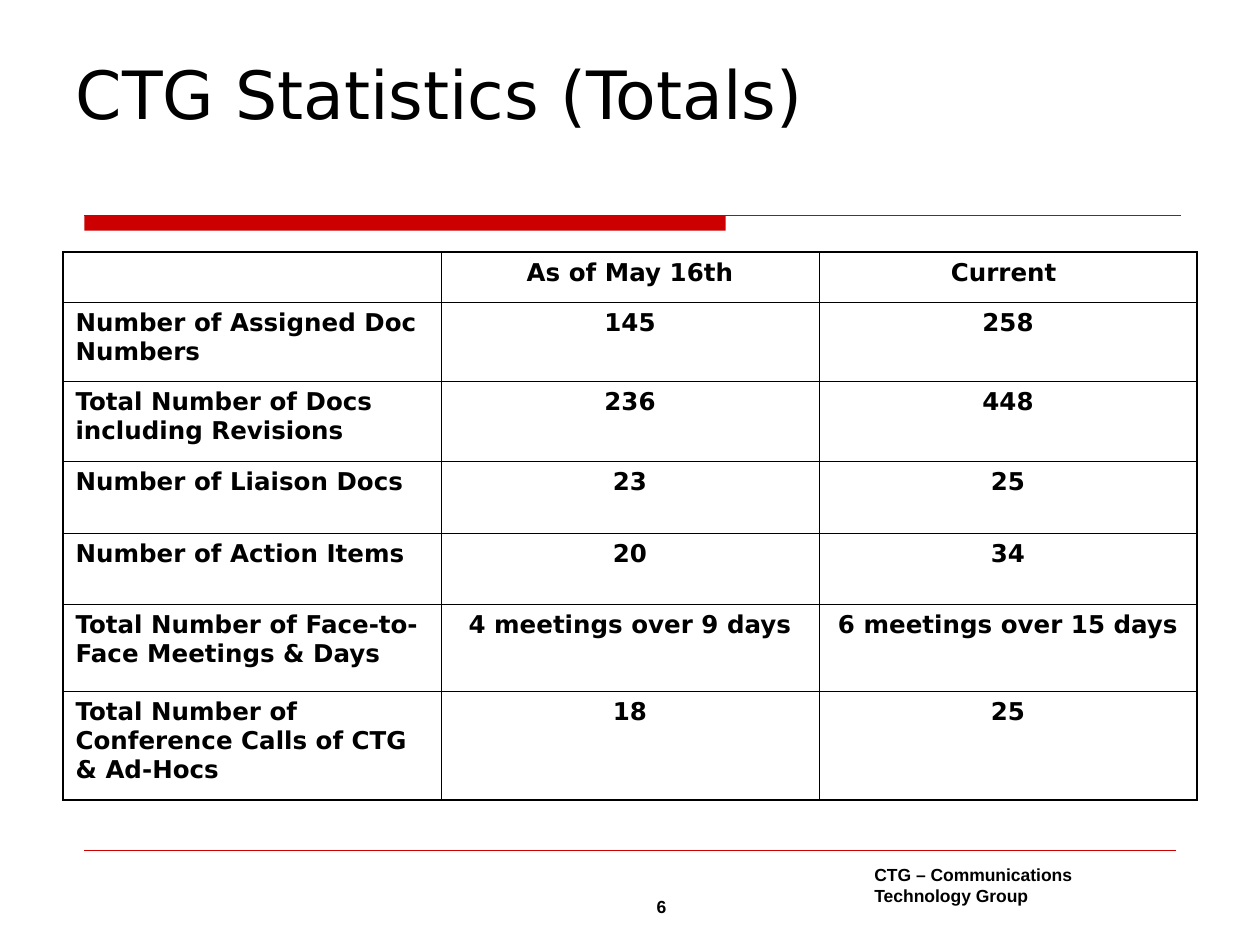
from dataclasses import dataclass

from lxml.etree import SubElement as Sub
from pptx import Presentation
from pptx.dml.color import RGBColor as RGB
from pptx.enum.shapes import MSO_CONNECTOR as Conn, MSO_SHAPE as Shape
from pptx.enum.text import MSO_ANCHOR as Anchor, PP_ALIGN as Align
from pptx.oxml.ns import qn
from pptx.util import Inches, Pt


@dataclass(frozen=True)
class Theme:
    ink: str = "000000"
    red: str = "CC0000"
    font: str = "DejaVu Sans"
    foot: str = "Arial"
    head: float = 38
    body: float = 14
    small: float = 10
    rule: float = 0.75
    hair: float = 0.25
    edge: float = 1.08
    grid: float = 0.45


THEME = Theme()

ROWS = [
    ("", "As of May 16th", "Current "),
    ("Number of Assigned Doc Numbers", "145", "258"),
    ("Total Number of Docs including Revisions", "236", "448"),
    ("Number of Liaison Docs", "23", "25"),
    ("Number of Action Items", "20", "34"),
    ("Total Number of Face-to-Face Meetings & Days",
     "4 meetings over 9 days", "6 meetings over 15 days"),
    ("Total Number of Conference Calls of CTG & Ad-Hocs", "18", "25"),
]
HEIGHTS = [0.4, 0.63, 0.63, 0.57, 0.57, 0.69, 0.86]


def add_run(para, text, size, font, bold=False):
    run = para.add_run()
    run.text = text
    run.font.size = Pt(size)
    run.font.name = font
    run.font.bold = bold
    run.font.color.rgb = RGB.from_string(THEME.ink)


def add_rule(slide, left, top, width, weight):
    line = slide.shapes.add_connector(
        Conn.STRAIGHT, Inches(left), Inches(top),
        Inches(left + width), Inches(top))
    line.line.color.rgb = RGB.from_string(THEME.red)
    line.line.width = Pt(weight)
    Sub(line._element.spPr, qn("a:effectLst"))


def add_title(slide, box, text):
    title = slide.shapes.title
    title.left, title.top, title.width, title.height = map(Inches, box)
    frame = title.text_frame
    frame.vertical_anchor = Anchor.MIDDLE
    para = frame.paragraphs[0]
    para.alignment = Align.LEFT
    add_run(para, text, THEME.head, THEME.font)


def add_band(slide, box, thick):
    """Heavy bar over the left part of a thin full-width rule."""
    left, top, width, full = box
    bar = slide.shapes.add_shape(Shape.RECTANGLE, *map(
        Inches, (left, top, thick, full)))
    bar.shadow.inherit = False
    bar.fill.solid()
    bar.fill.fore_color.rgb = RGB.from_string(THEME.red)
    bar.line.fill.background()
    add_rule(slide, left, top, width, THEME.rule)


def add_note(slide, box, text, align):
    note = slide.shapes.add_textbox(*map(Inches, box))
    frame = note.text_frame
    frame.word_wrap = False
    frame.margin_left = frame.margin_right = Inches(0.02)
    frame.margin_top = frame.margin_bottom = Inches(0.03)
    para = frame.paragraphs[0]
    para.alignment = align
    add_run(para, text, THEME.small, THEME.foot, True)


def add_foot(slide, box):
    left, top, width, _ = box
    add_rule(slide, left, top, width, THEME.hair)
    add_note(slide, (left + 3.58, top + 0.33, 2, 0.42), "6", Align.CENTER)
    add_note(slide, (left + 6.25, top + 0.08, 2, 0.42),
             "CTG – Communications Technology Group", Align.LEFT)


def set_edges(cell, outer):
    """Draw all four sides, heavier where the side is on the outside."""
    props = cell._tc.get_or_add_tcPr()
    for side in "LRTB":
        weight = THEME.edge if side in outer else THEME.grid
        line = Sub(props, qn(f"a:ln{side}"), w=str(int(Pt(weight))))
        fill = Sub(line, qn("a:solidFill"))
        Sub(fill, qn("a:srgbClr"), val=THEME.ink)


def add_stats(slide, box):
    tall, wide = len(ROWS), len(ROWS[0])
    table = slide.shapes.add_table(tall, wide, *map(Inches, box)).table
    table.first_row = table.horz_banding = False
    for col in table.columns:
        col.width = Inches(box[2] / wide)
    for r, (row, height) in enumerate(zip(ROWS, HEIGHTS)):
        table.rows[r].height = Inches(height)
        for c, text in enumerate(row):
            cell = table.cell(r, c)
            sides = {"L": c == 0, "R": c == wide - 1,
                     "T": r == 0, "B": r == tall - 1}
            set_edges(cell, [s for s, out in sides.items() if out])
            cell.fill.background()
            para = cell.text_frame.paragraphs[0]
            para.alignment = Align.CENTER if c else Align.LEFT
            if text:
                add_run(para, text, THEME.body, THEME.font, True)
            else:
                # Keeps the blank cell from stretching its row
                Sub(para._p, qn("a:endParaRPr"), sz=str(THEME.body * 100))


def main():
    deck = Presentation()
    deck.slide_width, deck.slide_height = Inches(10), Inches(7.5)
    slide = deck.slides.add_slide(deck.slide_layouts[5])
    add_band(slide, (0.67, 1.71, 8.7, 0.12), 5.09)
    add_foot(slide, (0.67, 6.75, 8.66, 0.75))
    add_title(slide, (0.5, 0.3, 9, 0.87), "CTG Statistics (Totals)")
    add_stats(slide, (0.5, 2, 9, sum(HEIGHTS)))
    deck.save("out.pptx")


if __name__ == "__main__":
    main()
